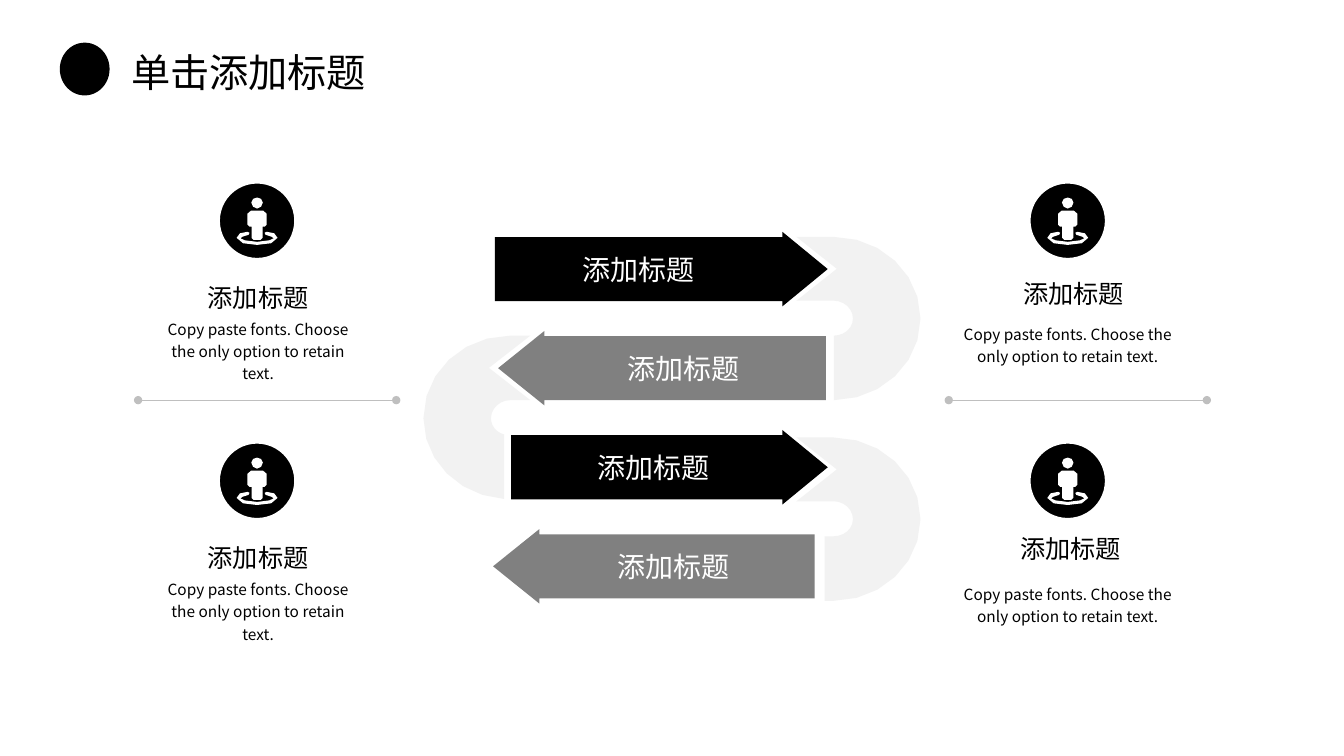
from dataclasses import dataclass

from lxml import etree
from pptx import Presentation
from pptx.dml.color import RGBColor
from pptx.enum.dml import MSO_LINE
from pptx.enum.shapes import MSO_CONNECTOR, MSO_SHAPE
from pptx.enum.text import MSO_ANCHOR, MSO_AUTO_SIZE, PP_ALIGN
from pptx.oxml.ns import qn
from pptx.util import Inches, Pt

DOT = MSO_LINE.ROUND_DOT
LINE = MSO_CONNECTOR.STRAIGHT
OVAL = MSO_SHAPE.OVAL
TOP, MID = MSO_ANCHOR.TOP, MSO_ANCHOR.MIDDLE
GROW, FIXED = MSO_AUTO_SIZE.SHAPE_TO_FIT_TEXT, MSO_AUTO_SIZE.NONE
LEFT, MIDDLE = PP_ALIGN.LEFT, PP_ALIGN.CENTER


@dataclass
class Theme:
    font: str = "Noto Sans CJK SC"
    black: str = "000000"
    white: str = "FFFFFF"
    gray: str = "808080"
    pale: str = "F2F2F2"
    rule: str = "BFBFBF"
    title: int = 28
    label: int = 20
    head: int = 18
    body: int = 11


def trace(steps, count=6):
    points = [steps[0]]
    for step in steps[1:]:
        if len(step) == 2:
            points.append(step)
            continue
        ends = [points[-1], step[:2], step[2:4], step[4:]]
        for i in range(1, count + 1):
            t = i / count
            parts = ((1 - t) ** 3, 3 * t * (1 - t) ** 2, 3 * t * t * (1 - t), t ** 3)
            points.append(tuple(sum(w * p[k] for w, p in zip(parts, ends)) for k in (0, 1)))
    return points


def mirror(steps):
    half = trace(steps, 2)
    return half + [(-x, y) for x, y in reversed(half[1:-1])]


class Board:
    CELL = 0.1

    def __init__(self, slide, theme):
        self.slide = slide
        self.theme = theme

    def size(self, *cells):
        return [Inches(cell * self.CELL) for cell in cells]

    def paint(self, shape, fill, edge=None, width=0):
        shape.shadow.inherit = False
        shape.fill.solid()
        shape.fill.fore_color.rgb = RGBColor.from_string(fill)
        if edge:
            shape.line.color.rgb = RGBColor.from_string(edge)
            shape.line.width = Pt(width)
        else:
            shape.line.fill.background()

    def oval(self, box, fill, edge, width):
        shape = self.slide.shapes.add_shape(OVAL, *self.size(*box))
        self.paint(shape, fill, edge, width)

    def form(self, loops, fill, col=0, row=0):
        loops = [[self.size(x + col, y + row) for x, y in loop] for loop in loops]
        pen = self.slide.shapes.build_freeform(*loops[0][0], scale=1.0)
        for i, loop in enumerate(loops):
            if i:
                pen.move_to(*loop[0])
            pen.add_line_segments(loop[1:], close=True)
        self.paint(pen.convert_to_shape(), fill)

    def style(self, shape, text, size, color, align, anchor, wrap, pad, space):
        frame = shape.text_frame
        frame.text = text
        frame.word_wrap = wrap
        frame.vertical_anchor = anchor
        frame.margin_left = frame.margin_right = Inches(pad[0])
        frame.margin_top = frame.margin_bottom = Inches(pad[1])
        line = frame.paragraphs[0]
        line.alignment = align
        line.line_spacing = space
        run = line.runs[0]
        run.font.name = self.theme.font
        run.font.size = Pt(size)
        run.font.color.rgb = RGBColor.from_string(color)
        east = etree.SubElement(run.font._element, qn("a:ea"))
        east.set("typeface", self.theme.font)

    def text(self, box, text, size, color, anchor=TOP, wrap=True, pad=(0.1, 0.05), space=1.0):
        shape = self.slide.shapes.add_textbox(*self.size(*box))
        self.style(shape, text, size, color, MIDDLE, anchor, wrap, pad, space)
        shape.text_frame.auto_size = FIXED

    def title(self, box, text):
        shape = self.slide.shapes.title
        shape.left, shape.top, shape.width, shape.height = self.size(*box)
        self.style(shape, text, self.theme.title, self.theme.black,
                   LEFT, TOP, True, (0.1, 0.05), 1.0)
        shape.text_frame.auto_size = GROW

    def rule(self, left, right, row):
        line = self.slide.shapes.add_connector(LINE, *self.size(left, row, right, row))
        line.line.color.rgb = RGBColor.from_string(self.theme.rule)
        line.line.width = Pt(0.25)
        line.line.dash_style = DOT
        props = line._element.spPr
        for tag in ("a:headEnd", "a:tailEnd"):
            etree.SubElement(props.find(qn("a:ln")), qn(tag)).set("type", "oval")
        etree.SubElement(props, qn("a:effectLst"))

    def bend(self, row, foot):
        steps = [(79, 0), (83, 3.17), (79, 6.33), (82.7, 6.33),
                 (83.7, 6.33, 84.6, 7.1, 84.6, 8.1), (84.6, 9.1, 83.7, 9.8, 82.7, 9.8),
                 (foot, 9.8), (foot, 16.2), (82.7, 16.2),
                 (87.4, 16.2, 91.3, 12.6, 91.3, 8.1), (91.3, 3.6, 87.4, 0, 82.7, 0)]
        self.form([trace(steps)], self.theme.pale, row=row)

    def arrow(self, row, tip, neck, tail, fill):
        wing, half = 3.7, 3.18
        self.form([[(tip, row), (neck, row - wing), (neck, row - half), (tail, row - half),
                    (tail, row + half), (neck, row + half), (neck, row + wing)]], fill)

    def icon(self, col, row):
        self.oval((col - 4, row - 4, 8, 8), self.theme.black, self.theme.white, 4.5)
        self.form(PERSON, self.theme.white, col, row)


RING = [(0, 2.4), (1, 2.4, 2.03, 2.2, 2.03, 1.7), (2.03, 1.3, 1.5, 1.1, 0.95, 1.1),
        (0.75, 1.2), (0.85, 1.4), (1.4, 1.5, 1.65, 1.7, 1.65, 1.75),
        (1.65, 1.8, 1.05, 2.1, 0, 2.1)]
TRUNK = [(0, -1), (0.6, -1), (0.95, -0.7), (0.95, 0.4), (0.75, 0.6), (0.55, 0.6),
         (0.55, 1.7), (0.35, 1.9), (0, 1.9)]
FACE = [(0, -2.3), (0.3, -2.3, 0.57, -2.1, 0.57, -1.8), (0.57, -1.5, 0.3, -1.2, 0, -1.2)]
PERSON = [mirror(part) for part in (RING, TRUNK, FACE)]
CURVE = [(50, 49.5), (50, 43.1), (49.2, 42.9, 48.7, 42.2, 48.7, 41.5),
         (48.7, 40.5, 49.6, 39.7, 50.6, 39.7), (52.6, 39.7), (48.5, 36.5), (52.6, 33.3),
         (50.6, 33.3), (45.9, 33.3, 42, 36.9, 42, 41.5), (42, 45.7, 45.5, 49.2, 50, 49.5)]
HEAD = "添加标题"
BODY = "Copy paste fonts. Choose the only option to retain text."


def main():
    deck = Presentation()
    deck.slide_width, deck.slide_height = Inches(13.33), Inches(7.5)
    theme = Theme()
    board = Board(deck.slides.add_slide(deck.slide_layouts[5]), theme)
    board.title((12, 4.3, 32.4, 5.7), "单击添加标题")
    board.oval((6, 4.3, 4.8, 5.1), theme.black, theme.black, 1)

    board.bend(23.5, 82.7)
    board.form([trace(CURVE)], theme.pale)
    board.bend(43.4, 81.8)
    arrows = [(82.1, 77.6, 49.1, 49.2, theme.black), (49.4, 54, 81.9, 53.7, theme.gray),
              (82.1, 77.6, 50.7, 50.7, theme.black), (48.9, 53.5, 80.8, 52.7, theme.gray)]
    for i, (tip, neck, tail, left, fill) in enumerate(arrows):
        row = 26.7 + 9.83 * i
        board.arrow(row, tip, neck, tail, fill)
        board.text((left, row - 3.1, 28.2, 6.2), HEAD, theme.label, theme.white, MID)

    sides = [(13.7, 25.5, (0.16, 0), False, [(13.7, 28, 23.8, 3.3), (13.7, 53.8, 23.8, 3.3)]),
             (94, 105.9, (0.1, 0.05), True, [(94, 27.1, 25, 4.2), (93.4, 52.4, 25.6, 4.7)])]
    for left, mid, pad, wrap, heads in sides:
        board.rule(mid - 11.8, mid + 13.8, 39.7)
        for i, box in enumerate(heads):
            drop = 25.8 * i
            board.text((left, 31.4 + drop, 23.8, 7.1), BODY, theme.body, theme.black,
                       pad=pad, space=1.2)
            board.text(box, HEAD, theme.head, theme.black, wrap=wrap, pad=pad)
            board.icon(mid, 21.9 + drop)

    deck.save("out.pptx")


if __name__ == "__main__":
    main()
